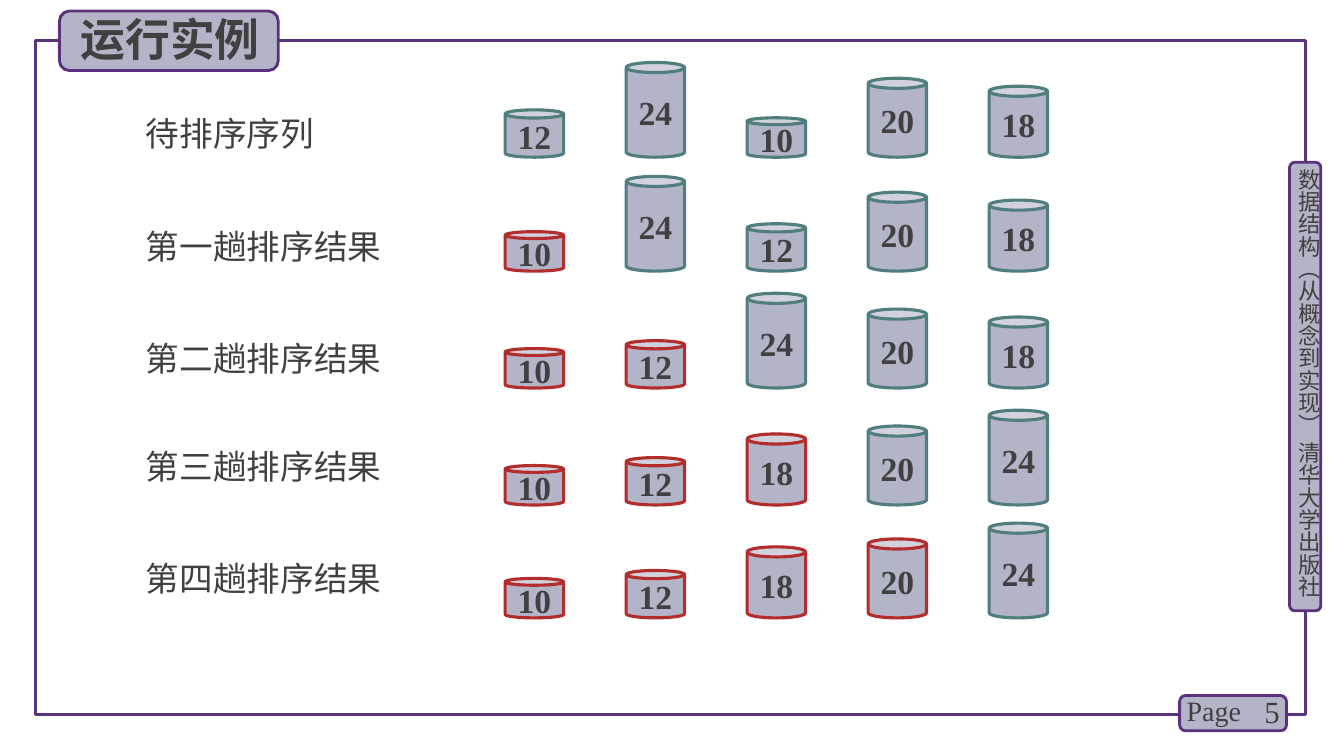
from lxml import etree
from pptx import Presentation
from pptx import util as u
from pptx.dml.color import RGBColor
from pptx.enum import shapes, text
from pptx.oxml import ns

SANS, SERIF = "Noto Sans CJK SC", "Times New Roman"
INK, PLATE, PURPLE, EDGE = "404040", "B4B4C8", "5A327D", "5C307D"
WAITING, SORTED = "507D7D", "B42D2D"

PLATES = [
    (12.79, 1.61, 0.31, 4.45),
    (11.7, 6.9, 1.06, 0.35),
    (0.59, 0.11, 2.17, 0.59),
]
CAPTIONS = [
    ("数据结构（从概念到实现） 清华大学出版社", (12.85, 1.67, 0.27, 4.49), 16, SANS,
     {"vertical": True}),
    ("5", (12.2, 6.86, 0.59, 0.4), 22, SERIF,
     {"align": text.PP_ALIGN.RIGHT, "anchor": text.MSO_ANCHOR.MIDDLE}),
    ("Page", (11.67, 6.83, 0.78, 0.44), 20, SERIF, {}),
    ("运行实例", (0.7, 0.07, 2.1, 0.64), 32, SANS, {"bold": True}),
]
PASSES = [
    ("待排序序列", 1.07, 1.56, [12, 24, 10, 20, 18]),
    ("第一趟排序结果", 2.19, 2.69, [10, 24, 12, 20, 18]),
    ("第二趟排序结果", 3.3, 3.85, [10, 12, 24, 20, 18]),
    ("第三趟排序结果", 4.37, 5.01, [10, 12, 18, 20, 24]),
    ("第四趟排序结果", 5.49, 6.13, [10, 12, 18, 20, 24]),
]
LABEL_LEFT, LABEL_WIDTH, LABEL_HEIGHT = 1.35, 2.93, 0.5
CAN_LEFT, CAN_STEP, CAN_WIDTH = 5.01, 1.2, 0.58
CAN_SCALE = 0.94 / 24

deck = Presentation()
deck.slide_width, deck.slide_height = u.Inches(13.33), u.Inches(7.5)
page = deck.slides.add_slide(deck.slide_layouts[6])


def color(value):
    return RGBColor.from_string(value)


def lengths(place):
    return [u.Inches(value) for value in place]


def write(shape, words, size, face, bold=False, align=text.PP_ALIGN.LEFT,
          anchor=text.MSO_ANCHOR.TOP, wrap=True, vertical=False):
    frame = shape.text_frame
    frame.word_wrap = wrap
    frame.vertical_anchor = anchor
    if vertical:
        frame._txBody.bodyPr.set("vert", "eaVert")
        for side in ("left", "top", "right", "bottom"):
            setattr(frame, f"margin_{side}", 0)
    para = frame.paragraphs[0]
    para.alignment = align
    span = para.add_run()
    span.text = words
    for name, value in {"size": u.Pt(size), "name": face, "bold": bold}.items():
        setattr(span.font, name, value)
    span.font.color.rgb = color(INK)
    etree.SubElement(span.font._element, ns.qn("a:ea")).set("typeface", face)


def caption(words, place, size, face, **style):
    write(page.shapes.add_textbox(*lengths(place)), words, size, face, **style)


def draw(kind, place, line, width, fill=None):
    shape = page.shapes.add_shape(kind, *lengths(place))
    shape.shadow.inherit = False
    shape.line.color.rgb = color(line)
    shape.line.width = u.Pt(width)
    if fill:
        shape.fill.solid()
        shape.fill.fore_color.rgb = color(fill)
    else:
        shape.fill.background()
    return shape


draw(shapes.MSO_SHAPE.RECTANGLE, (0.35, 0.4, 12.6, 6.69), PURPLE, 2.25)
for place in PLATES:
    draw(shapes.MSO_SHAPE.ROUNDED_RECTANGLE, place, EDGE, 2, PLATE)
for words, place, size, face, style in CAPTIONS:
    caption(words, place, size, face, **style)

for done, (label, top, base, numbers) in enumerate(PASSES):
    caption(label, (LABEL_LEFT, top, LABEL_WIDTH, LABEL_HEIGHT), 24, SANS)
    for column, number in enumerate(numbers):
        height = number * CAN_SCALE
        place = (CAN_LEFT + column * CAN_STEP, base - height, CAN_WIDTH, height)
        can = draw(shapes.MSO_SHAPE.CAN, place,
                   SORTED if column < done else WAITING, 2.25, PLATE)
        can.adjustments[0] = 0.173
        write(can, str(number), 24, SERIF, bold=True, align=text.PP_ALIGN.CENTER,
              anchor=text.MSO_ANCHOR.MIDDLE, wrap=False)

deck.save("out.pptx")
